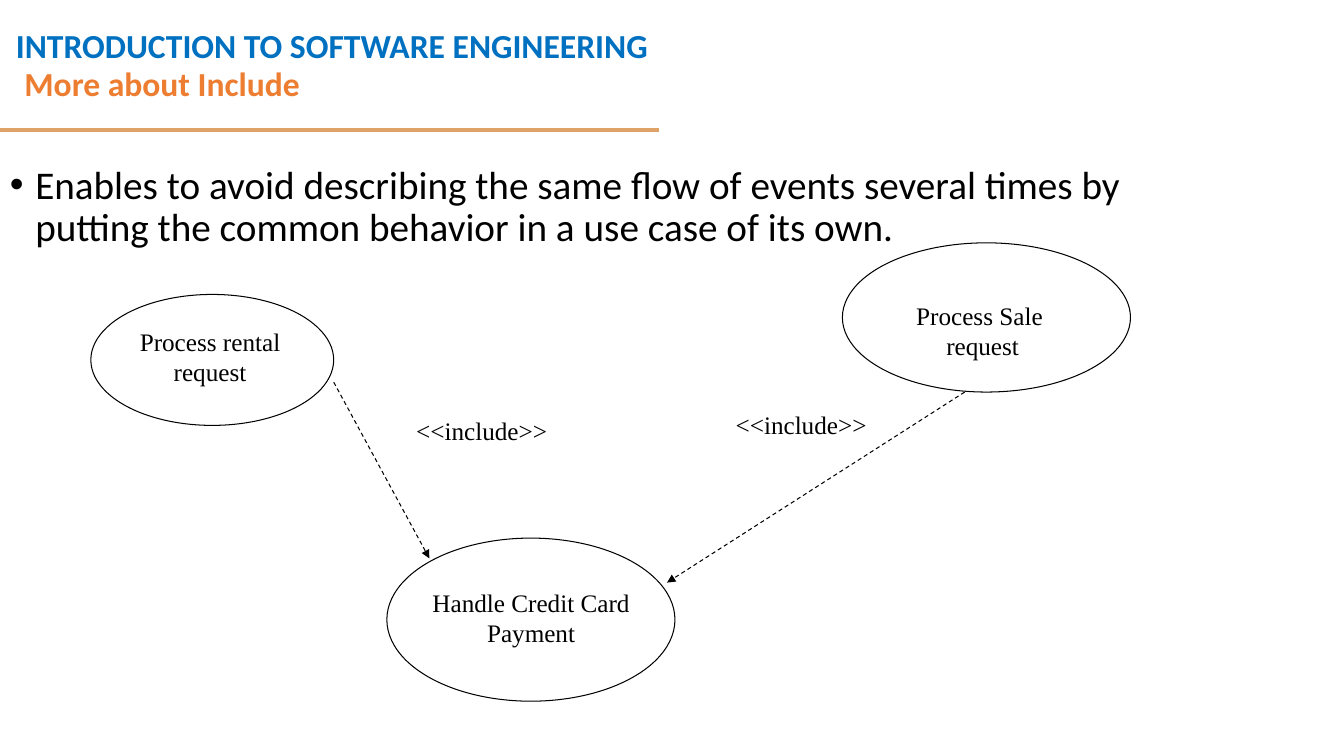
from dataclasses import dataclass
from typing import Any

from lxml import etree
from pptx import Presentation
from pptx.dml.color import RGBColor
from pptx.enum import dml, shapes, text
from pptx.oxml import ns
from pptx.util import Cm, Pt

BLUE = RGBColor(0x00, 0x70, 0xC0)
ORANGE = RGBColor(0xED, 0x7D, 0x31)
SAND = RGBColor(0xDF, 0xA2, 0x67)
BLACK = RGBColor(0, 0, 0)

HEADING = {"name": "Calibri", "size": Pt(24), "bold": True}
BODY = {"name": "Calibri", "size": Pt(28)}
DIAGRAM = {"name": "Times New Roman", "size": Pt(18)}

Box = tuple[float, float, float, float]
Point = tuple[float, float]


@dataclass(frozen=True)
class UseCase:
    label: str
    oval: Box
    label_box: Box


@dataclass(frozen=True)
class Include:
    start: Point
    end: Point
    label_box: Box


USE_CASES = [
    UseCase("Process rental request", (2.29, 7.42, 6.12, 3.3), (2.49, 8.1, 5.61, 1.78)),
    UseCase("Process Sale \vrequest", (21.23, 6.12, 7.26, 3.76), (21.44, 7.44, 6.65, 1.78)),
    UseCase("Handle Credit Card Payment", (9.75, 13.56, 7.26, 4.11), (10.06, 14.68, 6.65, 1.78)),
]
INCLUDES = [
    Include((8.41, 9.63), (10.82, 14.07), (10.24, 10.34, 3.81, 1.02)),
    Include((24.31, 9.88), (16.81, 14.68), (18.29, 10.19, 3.81, 1.02)),
]


def cm(values: tuple[float, ...]) -> list[int]:
    return [Cm(v) for v in values]


def set_attrs(target: Any, values: dict[str, Any]) -> None:
    for name, value in values.items():
        setattr(target, name, value)


def write(sp: Any, words: str, font: dict[str, Any], color: RGBColor,
          para: dict[str, Any], frame: dict[str, Any]) -> Any:
    tf = sp.text_frame
    set_attrs(tf, {"word_wrap": True, "auto_size": text.MSO_AUTO_SIZE.NONE} | frame)
    p = tf.paragraphs[0]
    p.text = words
    set_attrs(p, para)
    for r in p.runs:
        set_attrs(r.font, font)
        r.font.color.rgb = color
    return p


def add_text(slide: Any, box: Box, words: str, font: dict[str, Any],
             color: RGBColor = BLACK, para: dict[str, Any] = {},
             frame: dict[str, Any] = {}) -> Any:
    return write(slide.shapes.add_textbox(*cm(box)), words, font, color, para, frame)


def add_bullet(p: Any) -> None:
    pPr = p._p.get_or_add_pPr()
    pPr.set("marL", str(Cm(0.64)))
    pPr.set("indent", str(-Cm(0.64)))
    etree.SubElement(pPr, ns.qn("a:buFont")).set("typeface", "Arial")
    etree.SubElement(pPr, ns.qn("a:buChar")).set("char", "•")


def add_line(slide: Any, start: Point, end: Point, color: RGBColor, width: float) -> Any:
    line = slide.shapes.add_connector(
        shapes.MSO_CONNECTOR.STRAIGHT, *cm(start), *cm(end))
    line.line.color.rgb = color
    line.line.width = Pt(width)
    etree.SubElement(line._element.spPr, ns.qn("a:effectLst"))
    return line


def add_use_case(slide: Any, case: UseCase) -> None:
    sp = slide.shapes.add_shape(shapes.MSO_SHAPE.OVAL, *cm(case.oval))
    sp.shadow.inherit = False
    sp.fill.background()
    sp.line.color.rgb = BLACK
    sp.line.width = Pt(0.75)
    add_text(slide, case.label_box, case.label, DIAGRAM,
             para={"alignment": text.PP_ALIGN.CENTER})


def add_include(slide: Any, include: Include) -> None:
    arrow = add_line(slide, include.start, include.end, BLACK, 0.75)
    arrow.line.dash_style = dml.MSO_LINE.DASH
    ln = arrow.line._get_or_add_ln()
    etree.SubElement(ln, ns.qn("a:tailEnd")).set("type", "triangle")
    add_text(slide, include.label_box, "<<include>>", DIAGRAM,
             frame={"word_wrap": False})


def main() -> None:
    prs = Presentation()
    set_attrs(prs, {"slide_width": Cm(33.87), "slide_height": Cm(19.05)})
    slide = prs.slides.add_slide(prs.slide_layouts[5])

    title = slide.shapes.title
    set_attrs(title, dict(zip(("left", "top", "width", "height"),
                              cm((0.36, 1.37, 29.21, 1.55)))))
    write(title, "More about Include", HEADING, ORANGE,
          {"alignment": text.PP_ALIGN.LEFT, "line_spacing": 0.9},
          {"vertical_anchor": text.MSO_ANCHOR.MIDDLE})

    add_text(slide, (0.15, 0, 25.07, 1.78), "INTRODUCTION TO SOFTWARE ENGINEERING",
             HEADING, BLUE, {"line_spacing": 1.5})
    add_line(slide, (0, 3.28), (16.61, 3.28), SAND, 3)
    body = add_text(
        slide, (0, 4.04, 29.21, 12.09),
        "Enables to avoid describing the same flow of events several times by "
        "putting the common behavior in a use case of its own.",
        BODY, para={"line_spacing": 0.9})
    add_bullet(body)

    for case in USE_CASES:
        add_use_case(slide, case)
    for include in INCLUDES:
        add_include(slide, include)

    prs.save("out.pptx")


if __name__ == "__main__":
    main()
